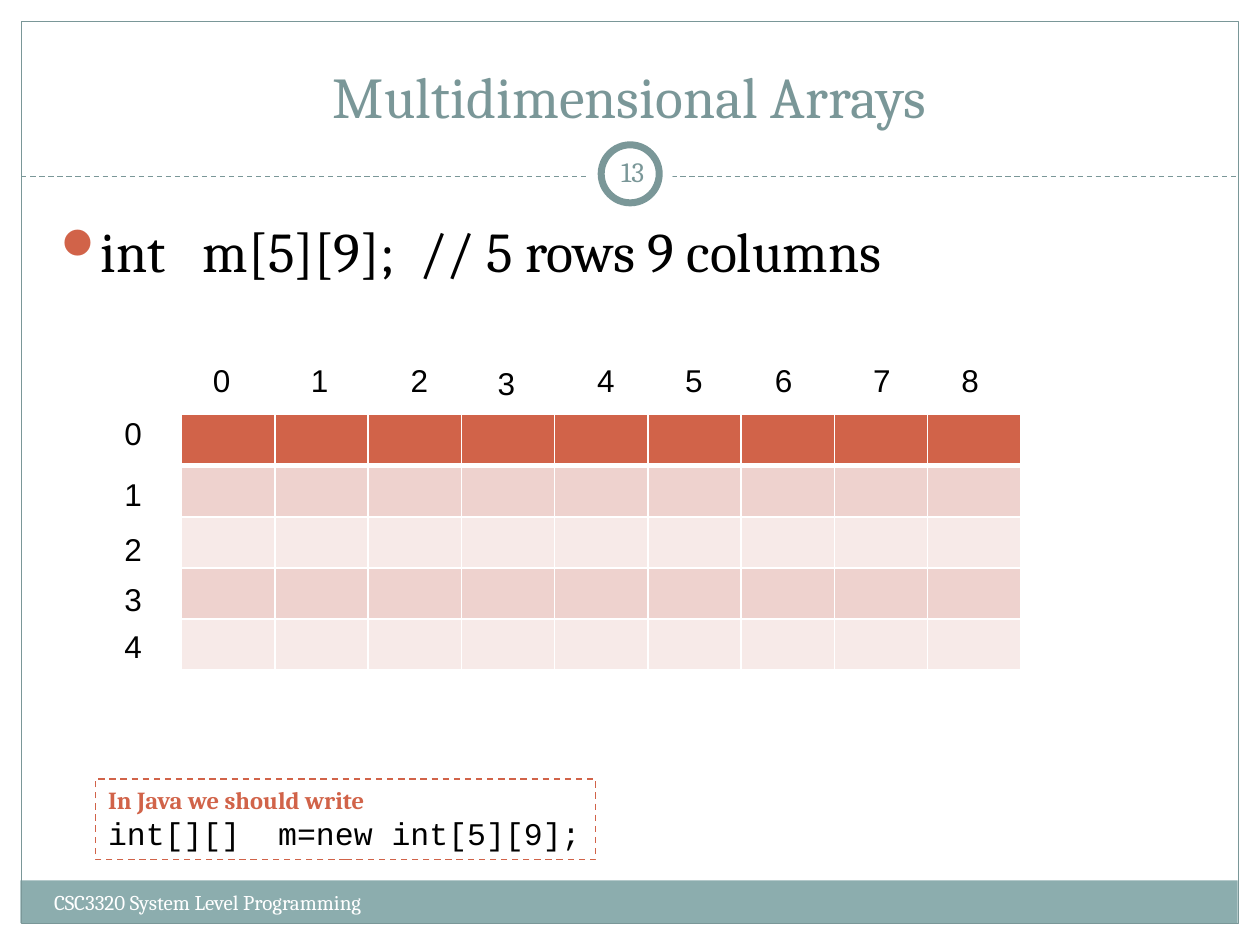
from lxml.etree import SubElement
from pptx import Presentation
from pptx.dml.color import RGBColor
from pptx.enum.dml import MSO_LINE
from pptx.enum.shapes import MSO_CONNECTOR, MSO_SHAPE
from pptx.enum.text import MSO_ANCHOR, PP_ALIGN
from pptx.oxml.ns import qn
from pptx.util import Cm, Pt

WHITE, BLACK, TEAL, PALE_TEAL, RUST = "FFFFFF", "000000", "7A9798", "8CADAE", "D16349"
ROW_FILLS = [RUST, "EED2CE", "F7EAE8", "EED2CE", "F7EAE8"]
COLUMN_COUNT = 9
GRID_LEFT, GRID_TOP, CELL_WIDTH, CELL_HEIGHT = 3.66, 8.36, 1.88, 1.03

PANELS = [
    (MSO_SHAPE.RECTANGLE, (0.41, 17.75, 24.54, 0.86), PALE_TEAL, None, 0),
    (MSO_SHAPE.RECTANGLE, (0.43, 0.43, 24.54, 18.19), None, TEAL, 0.75),
]
BADGE = [
    (MSO_SHAPE.OVAL, (11.86, 2.67, 1.7, 1.7), WHITE, None, 0),
    (MSO_SHAPE.OVAL, (12.12, 2.92, 1.17, 1.17), WHITE, TEAL, 4),
]
TITLE = "Multidimensional Arrays"
FOOTER = "CSC3320 System Level Programming"
PAGE = "13"
DECLARATION = "int   m[5][9];  // 5 rows 9 columns"
JAVA_NOTE = [
    ("In Java we should write", 14, "Cambria", RUST, True),
    ("int[][]  m=new int[5][9];", 18, "Courier New", BLACK, False),
]
ROW_LABELS = [(2.26, top) for top in (8.23, 9.45, 10.57, 11.56, 12.52)]
COLUMN_LABELS = [
    (4.04, 7.16), (6.02, 7.16), (8.03, 7.16), (9.78, 7.21), (11.79, 7.16),
    (13.56, 7.16), (15.37, 7.16), (17.35, 7.16), (19.13, 7.16),
]


def color(value):
    return RGBColor.from_string(value)


def add_panel(slide, preset, box, fill, line, width):
    panel = slide.shapes.add_shape(preset, *map(Cm, box))
    panel.shadow.inherit = False
    if fill:
        panel.fill.solid()
        panel.fill.fore_color.rgb = color(fill)
    else:
        panel.fill.background()
    if line:
        panel.line.color.rgb = color(line)
        panel.line.width = Pt(width)
    else:
        panel.line.fill.background()
    return panel


def style(paragraph, size, font, ink, bold=False, align=PP_ALIGN.LEFT):
    paragraph.alignment = align
    for run in paragraph.runs:
        run.font.size = Pt(size)
        run.font.name = font
        run.font.bold = bold
        run.font.color.rgb = color(ink)


def add_text(slide, text, box, size, font, ink, align=PP_ALIGN.LEFT, anchor=MSO_ANCHOR.TOP):
    frame = slide.shapes.add_textbox(*map(Cm, box)).text_frame
    frame.word_wrap = True
    frame.vertical_anchor = anchor
    frame.text = text
    style(frame.paragraphs[0], size, font, ink, align=align)
    return frame


def add_bullet(paragraph, mark, ink):
    properties = paragraph._p.get_or_add_pPr()
    properties.set("marL", str(Cm(0.76)))
    properties.set("indent", str(-Cm(0.76)))
    bullet_color = SubElement(properties, qn("a:buClr"))
    SubElement(bullet_color, qn("a:srgbClr")).set("val", ink)
    SubElement(properties, qn("a:buChar")).set("char", mark)


def add_divider(slide):
    divider = slide.shapes.add_connector(
        MSO_CONNECTOR.STRAIGHT, Cm(0.43), Cm(3.56), Cm(24.97), Cm(3.56))
    divider.line.color.rgb = color(TEAL)
    divider.line.width = Pt(0.75)
    divider.line.dash_style = MSO_LINE.DASH
    SubElement(divider._element.spPr, qn("a:effectLst"))


def set_borders(cell, top, bottom):
    properties = cell._tc.get_or_add_tcPr()
    for side, width in (("L", 1), ("R", 1), ("T", top), ("B", bottom)):
        border = SubElement(properties, qn(f"a:ln{side}"), w=str(Pt(width)))
        fill = SubElement(border, qn("a:solidFill"))
        SubElement(fill, qn("a:srgbClr")).set("val", WHITE)


def add_grid(slide):
    rows = len(ROW_FILLS)
    grid = slide.shapes.add_table(
        rows, COLUMN_COUNT, Cm(GRID_LEFT), Cm(GRID_TOP),
        Cm(CELL_WIDTH * COLUMN_COUNT), Cm(CELL_HEIGHT * rows)).table
    for column in grid.columns:
        column.width = Cm(CELL_WIDTH)
    for index, (row, fill) in enumerate(zip(grid.rows, ROW_FILLS)):
        row.height = Cm(CELL_HEIGHT)
        for cell in row.cells:
            set_borders(cell, 3 if index == 1 else 1, 3 if index == 0 else 1)
            cell.fill.solid()
            cell.fill.fore_color.rgb = color(fill)


def add_java_note(slide):
    note = add_panel(slide, MSO_SHAPE.RECTANGLE, (1.93, 15.7, 10.08, 1.63), WHITE, RUST, 0.9)
    note.line.dash_style = MSO_LINE.DASH
    frame = note.text_frame
    frame.word_wrap = True
    frame.vertical_anchor = MSO_ANCHOR.TOP
    frame.text = "\n".join(line[0] for line in JAVA_NOTE)
    for paragraph, (_, *look) in zip(frame.paragraphs, JAVA_NOTE):
        style(paragraph, *look)


def main():
    deck = Presentation()
    deck.slide_width, deck.slide_height = Cm(25.4), Cm(19.05)
    slide = deck.slides.add_slide(deck.slide_layouts[6])

    for panel in PANELS:
        add_panel(slide, *panel)
    add_divider(slide)
    for ring in BADGE:
        add_panel(slide, *ring)

    add_text(slide, TITLE, (0.84, 0.64, 23.7, 2.11), 33, "Cambria", TEAL,
             PP_ALIGN.CENTER, MSO_ANCHOR.BOTTOM)
    add_text(slide, FOOTER, (0.84, 17.81, 9.96, 1.02), 12, "Cambria", WHITE)
    page = add_text(slide, PAGE, (12.12, 2.84, 1.27, 1.22), 16, "Cambria", TEAL,
                    PP_ALIGN.CENTER, MSO_ANCHOR.MIDDLE)
    page.margin_left = page.margin_right = Cm(0.13)
    declaration = add_text(slide, DECLARATION, (0.84, 4.24, 23.62, 2.31), 32, "Cambria",
                           BLACK, PP_ALIGN.JUSTIFY)
    add_bullet(declaration.paragraphs[0], "⚫", RUST)

    add_grid(slide)
    for labels in (ROW_LABELS, COLUMN_LABELS):
        for index, corner in enumerate(labels):
            add_text(slide, str(index), (*corner, 0.99, 1.02), 18, "Arial", BLACK)
    add_java_note(slide)

    deck.save("out.pptx")


if __name__ == "__main__":
    main()
